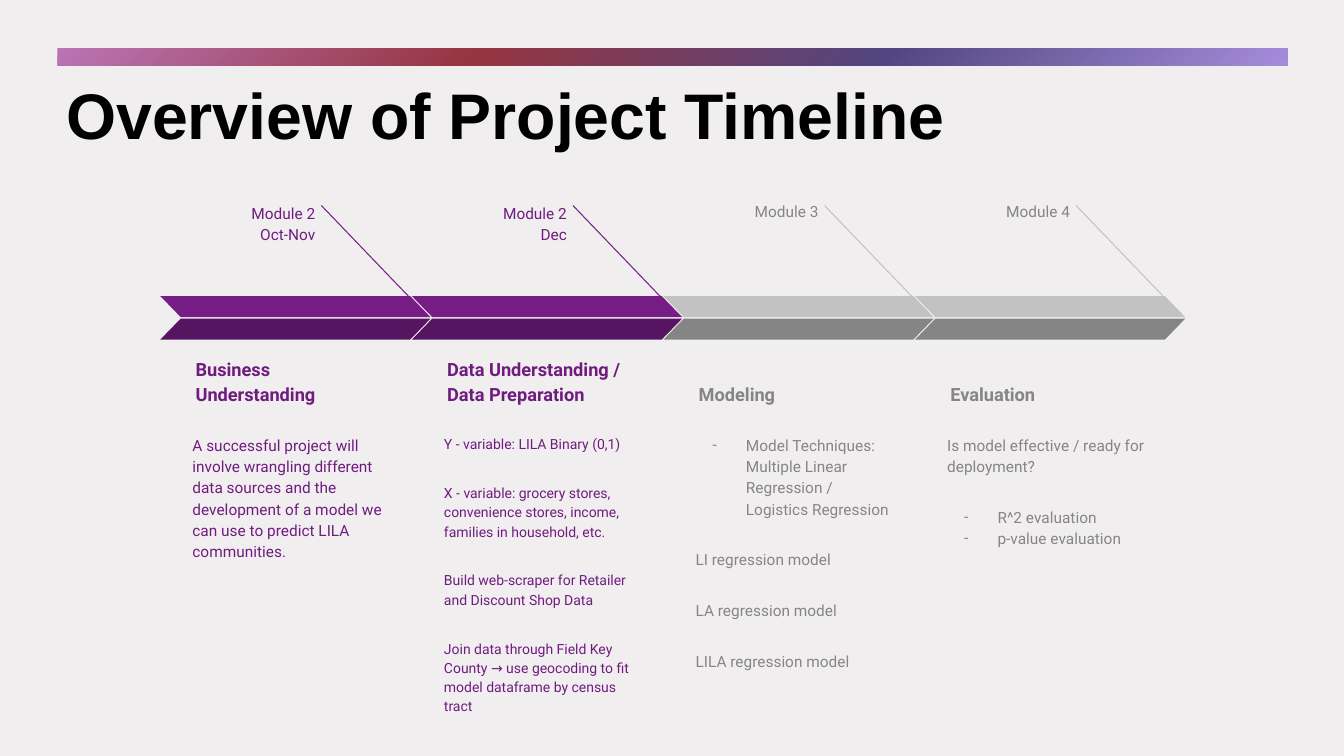
from dataclasses import dataclass

from lxml.etree import SubElement
from pptx import Presentation
from pptx.dml.color import RGBColor
from pptx.enum.shapes import MSO_CONNECTOR, MSO_SHAPE
from pptx.enum.text import MSO_ANCHOR, PP_ALIGN
from pptx.oxml.ns import qn
from pptx.util import Cm, Pt


@dataclass(frozen=True)
class Theme:
    background: str = "F1EEF0"
    title: str = "000000"
    gradient: tuple = ((0, "A58CDB"), (33, "524680"), (66, "963541"), (100, "BA74B4"))
    active: tuple = ("701C7F", "761E86", "551561")
    upcoming: tuple = ("858585", "C2C2C2", "858585")
    title_font: str = "Arial"
    body_font: str = "Roboto"
    title_size: int = 46
    heading_size: int = 13
    body_size: int = 11
    small_size: int = 10


THEME = Theme()
STAGE_STEP = 6.34
PARAGRAPH_GAP = 21
STAGES = [
    {
        "module": "Module 2 Oct-Nov",
        "heading": "Business Understanding",
        "body": [
            "A successful project will involve wrangling different data sources "
            "and the development of a model we can use to predict LILA communities."
        ],
        "colours": THEME.active,
    },
    {
        "module": "Module 2 Dec",
        "heading": "Data Understanding / Data Preparation",
        "body": [
            "Y - variable: LILA Binary (0,1)",
            "X - variable: grocery stores, convenience stores, income, families in household, etc.",
            "Build web-scraper for Retailer and Discount Shop Data",
            "Join data through Field Key County → use geocoding to fit model dataframe by census tract",
        ],
        "colours": THEME.active,
        "body_size": THEME.small_size,
        "body_height": 6.91,
    },
    {
        "module": "Module 3",
        "heading": "Modeling",
        "body": [
            "- Model Techniques: Multiple Linear Regression / Logistics Regression",
            "LI regression model",
            "LA regression model",
            "LILA regression model",
        ],
        "colours": THEME.upcoming,
    },
    {
        "module": "Module 4",
        "heading": "Evaluation",
        "body": [
            "Is model effective / ready for deployment?",
            "- R^2 evaluation",
            "- p-value evaluation",
        ],
        "colours": THEME.upcoming,
    },
]


def apply_format(target, values):
    for name, value in values.items():
        setattr(target, name, value)


def add_bullet(paragraph, colour):
    properties = paragraph._p.get_or_add_pPr()
    properties.set("marL", str(Cm(1.27)))
    properties.set("indent", str(-Cm(0.84)))
    bullet_colour = SubElement(properties, qn("a:buClr"))
    SubElement(bullet_colour, qn("a:srgbClr"), val=colour)
    SubElement(properties, qn("a:buFont"), typeface=THEME.body_font)
    SubElement(properties, qn("a:buChar"), char="-")


def add_text(shapes, box, texts, colour, size, font=THEME.body_font, bold=False,
             align=PP_ALIGN.LEFT, anchor=MSO_ANCHOR.TOP, insets=(0.33, 0.33), spacing=1.15):
    frame = shapes.add_textbox(*map(Cm, box)).text_frame
    across, down = map(Cm, insets)
    apply_format(frame, {
        "word_wrap": True, "vertical_anchor": anchor,
        "margin_left": across, "margin_right": across,
        "margin_top": down, "margin_bottom": down,
    })
    after_bullet = False
    for index, text in enumerate(texts):
        paragraph = frame.paragraphs[0] if index == 0 else frame.add_paragraph()
        bulleted = text.startswith("- ")
        joined = index == 0 or (bulleted and after_bullet)
        apply_format(paragraph, {
            "alignment": align, "line_spacing": spacing,
            "space_before": Pt(0 if joined else PARAGRAPH_GAP),
        })
        if bulleted:
            add_bullet(paragraph, colour)
        run = paragraph.add_run()
        run.text = text.removeprefix("- ")
        apply_format(run.font, {"name": font, "size": Pt(size), "bold": bold})
        run.font.color.rgb = RGBColor.from_string(colour)
        after_bullet = bulleted


def add_block(shapes, kind, box, colour):
    shape = shapes.add_shape(kind, *map(Cm, box))
    shape.shadow.inherit = False
    shape.line.fill.background()
    shape.fill.solid()
    shape.fill.fore_color.rgb = RGBColor.from_string(colour)
    return shape


def add_gradient_bar(shapes, box):
    shape = add_block(shapes, MSO_SHAPE.RECTANGLE, box, THEME.gradient[0][1])
    properties = shape._element.spPr
    solid = properties.find(qn("a:solidFill"))
    gradient = SubElement(properties, qn("a:gradFill"), rotWithShape="1")
    stops = SubElement(gradient, qn("a:gsLst"))
    for percent, colour in THEME.gradient:
        stop = SubElement(stops, qn("a:gs"), pos=str(percent * 1000))
        SubElement(stop, qn("a:srgbClr"), val=colour)
    circle = SubElement(gradient, qn("a:path"), {"path": "circle"})
    SubElement(circle, qn("a:fillToRect"), l="100000", t="100000")
    properties.replace(solid, gradient)


def add_chevron_half(shapes, left, top, colour, flipped):
    shape = add_block(shapes, MSO_SHAPE.PARALLELOGRAM, (left, top, 6.81, 0.53), colour)
    shape.adjustments[0] = 0.97
    if flipped:
        shape._element.spPr.find(qn("a:xfrm")).set("flipH", "1")


def add_leader(shapes, start, end, colour):
    line = shapes.add_connector(MSO_CONNECTOR.STRAIGHT, *map(Cm, start + end))
    line.line.color.rgb = RGBColor.from_string(colour)
    line.line.width = Pt(0.75)
    SubElement(line._element.spPr, qn("a:effectLst"))


def add_stage(slide, offset, stage):
    shapes = slide.shapes.add_group_shape().shapes
    text_colour, upper_colour, lower_colour = stage["colours"]
    add_text(shapes, (5.97 + offset, 4.75, 2.31, 0.89), [stage["module"]],
             text_colour, THEME.body_size, align=PP_ALIGN.RIGHT)
    add_text(shapes, (4.6 + offset, 8.89, 5.56, 1.65), [stage["heading"]],
             text_colour, THEME.heading_size, bold=True, anchor=MSO_ANCHOR.BOTTOM)
    add_text(shapes, (4.52 + offset, 10.59, 5.72, stage.get("body_height", 2.74)),
             stage["body"], text_colour, stage.get("body_size", THEME.body_size))
    add_leader(shapes, (8.1 + offset, 5.18), (10.75 + offset, 7.94), upper_colour)
    add_chevron_half(shapes, 4.04 + offset, 7.46, upper_colour, True)
    add_chevron_half(shapes, 4.04 + offset, 8.03, lower_colour, False)


def main():
    presentation = Presentation()
    apply_format(presentation, {"slide_width": Cm(33.87), "slide_height": Cm(19.05)})
    slide = presentation.slides.add_slide(presentation.slide_layouts[6])
    slide.background.fill.solid()
    slide.background.fill.fore_color.rgb = RGBColor.from_string(THEME.background)
    add_gradient_bar(slide.shapes, (1.45, 1.22, 31, 0.43))
    add_text(slide.shapes, (1.42, 1.55, 31.01, 2.62), ["Overview of Project Timeline"],
             THEME.title, THEME.title_size, font=THEME.title_font, bold=True,
             anchor=MSO_ANCHOR.MIDDLE, insets=(0.25, 0.13), spacing=1.0)
    for index, stage in enumerate(STAGES):
        add_stage(slide, index * STAGE_STEP, stage)
    presentation.save("out.pptx")


if __name__ == "__main__":
    main()
